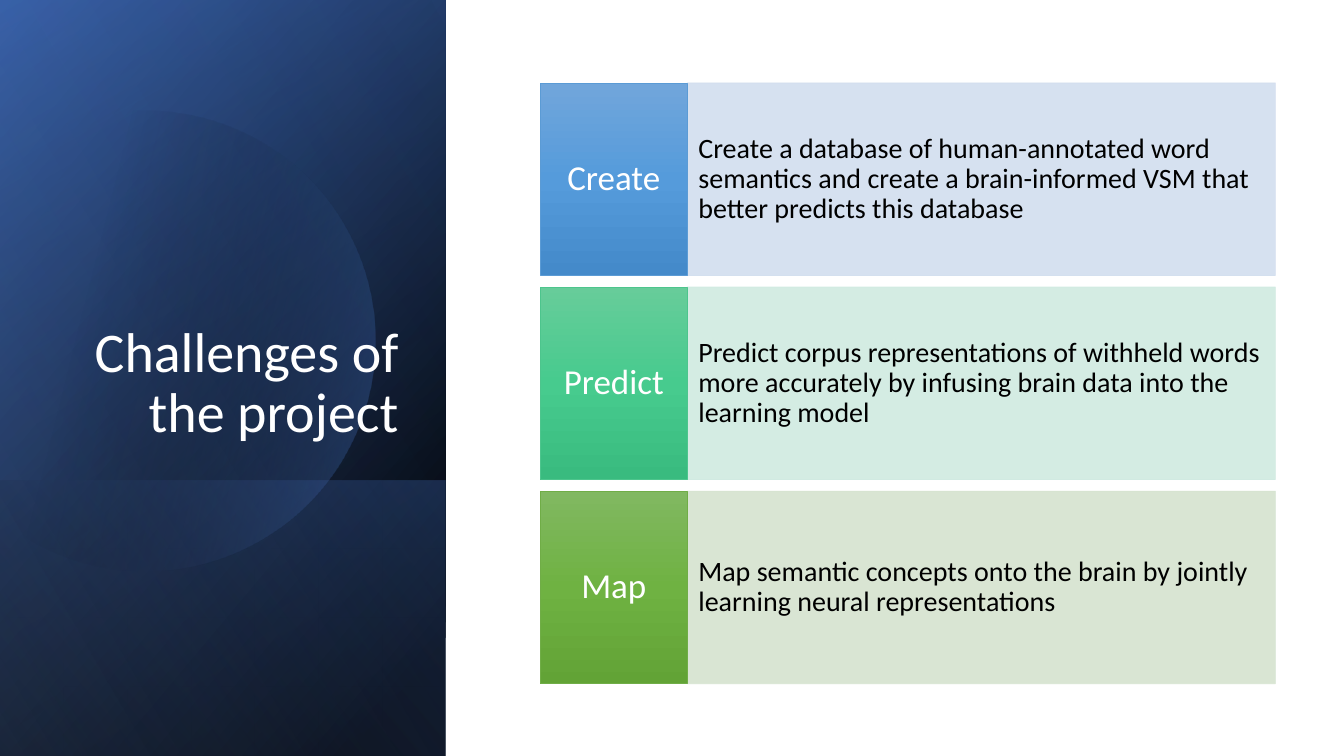
from dataclasses import dataclass, field
from math import acos, cos, pi, sin
from typing import Any, NamedTuple

from lxml.etree import SubElement
from pptx import Presentation
from pptx.dml.color import RGBColor
from pptx.enum.shapes import MSO_SHAPE as Preset
from pptx.enum.text import MSO_ANCHOR as Anchor, MSO_AUTO_SIZE as AutoSize, PP_ALIGN as Align
from pptx.oxml import parse_xml
from pptx.oxml.ns import nsdecls, qn
from pptx.util import Emu, Inches, Pt

SLIDE_WIDTH, SLIDE_HEIGHT = Inches(13.33), Inches(7.5)


@dataclass(frozen=True)
class Theme:
    font: str = "Calibri"
    light: str = "FFFFFF"
    dark: str = "000000"
    blue: str = "4472C4"
    deep_blue: str = "2F5597"
    pale_blue: str = "8FAADC"
    title_size: int = 40
    label_size: int = 25
    body_size: int = 20
    outline: float = 0.5
    band_opacity: int = 90


class Stop(NamedTuple):
    position: int
    color: str
    opacity: int = 100


class Gradient(NamedTuple):
    angle: int
    stops: tuple[Stop, ...]


class Box(NamedTuple):
    """Left and width in percent of the slide's width, top and height of its height."""
    left: float
    top: float
    width: float
    height: float

    def emu(self) -> tuple[Emu, Emu, Emu, Emu]:
        return across(self.left), down(self.top), across(self.width), down(self.height)


@dataclass(frozen=True)
class Challenge:
    label: str
    description: str
    shades: tuple[str, str, str]
    edge: str
    band: str


@dataclass(frozen=True)
class TextStyle:
    size: int
    color: str
    align: Align
    frame: dict[str, Any] = field(default_factory=dict)


THEME = Theme()
PANEL_WIDTH = 33.16
TITLE_BOX = Box(4.8, 24.5, 25.6, 35)
CARDS = Box(40.2, 10.97, 54.7, 25.47)
CARD_PITCH = 27
LABEL_SHARE = 0.2

BACKDROP = (
    Gradient(50, (Stop(8, THEME.dark), Stop(100, THEME.deep_blue))),
    Gradient(30, (Stop(0, THEME.dark, 0), Stop(99, THEME.blue, 46))),
)
FOOT_SHADE = Gradient(130, (Stop(2, THEME.blue, 29), Stop(100, THEME.dark, 30)))
DISC_SHADE = Gradient(14, (Stop(29, THEME.dark, 0), Stop(100, THEME.blue, 43)))
TOP_GLAZE = Gradient(120, (Stop(0, THEME.dark, 0), Stop(99, THEME.pale_blue, 11)))

TITLE_STYLE = TextStyle(THEME.title_size, THEME.light, Align.RIGHT,
                        {"vertical_anchor": Anchor.BOTTOM})
LABEL_STYLE = TextStyle(THEME.label_size, THEME.light, Align.CENTER,
                        {"margin_left": Inches(0.08), "margin_right": Inches(0.08)})
BODY_STYLE = TextStyle(THEME.body_size, THEME.dark, Align.LEFT,
                       {"margin_left": Inches(0.11), "margin_right": Inches(0.11)})

CHALLENGES = (
    Challenge("Create",
              "Create a database of human-annotated word semantics and create a "
              "brain-informed VSM that better predicts this database",
              ("71A6DB", "559BDB", "448ACA"), "5B9BD5", "D2DEEF"),
    Challenge("Predict",
              "Predict corpus representations of withheld words more accurately by "
              "infusing brain data into the learning model",
              ("67CC9A", "47CB8E", "39BB7F"), "4DC58D", "D0EAE1"),
    Challenge("Map",
              "Map semantic concepts onto the brain by jointly learning neural representations",
              ("81B861", "6FB242", "62A336"), "70AD47", "D5E3CF"),
)


def across(percent: float) -> Emu:
    return Emu(round(SLIDE_WIDTH * percent / 100))


def down(percent: float) -> Emu:
    return Emu(round(SLIDE_HEIGHT * percent / 100))


def rgb(color: str) -> RGBColor:
    return RGBColor.from_string(color)


def fill_gradient(shape, gradient: Gradient) -> None:
    """Fill with stops that may be translucent; the angle runs clockwise."""
    stops = "".join(
        f'<a:gs pos="{stop.position * 1000}"><a:srgbClr val="{stop.color}">'
        f'<a:alpha val="{stop.opacity * 1000}"/></a:srgbClr></a:gs>'
        for stop in gradient.stops)
    shape.fill.gradient()
    properties = shape._element.spPr
    properties.replace(properties.find(qn("a:gradFill")), parse_xml(
        f'<a:gradFill {nsdecls("a")} rotWithShape="1"><a:gsLst>{stops}</a:gsLst>'
        f'<a:lin ang="{gradient.angle * 60000}" scaled="0"/></a:gradFill>'))


def write_text(shape, text: str, style: TextStyle) -> None:
    frame = shape.text_frame
    frame.text = text
    paragraph = frame.paragraphs[0]
    settings = {
        frame: {"word_wrap": True, "auto_size": AutoSize.NONE,
                "vertical_anchor": Anchor.MIDDLE} | style.frame,
        paragraph: {"alignment": style.align, "line_spacing": 0.9},
        paragraph.runs[0].font: {"name": THEME.font, "size": Pt(style.size)},
    }
    for target, values in settings.items():
        for name, value in values.items():
            setattr(target, name, value)
    paragraph.runs[0].font.color.rgb = rgb(style.color)


def add_panel_layer(slide, gradient: Gradient, height: float = 100) -> None:
    """Add a mirrored quarter-turned layer that rests on the foot of the side panel."""
    length, breadth = down(height), across(PANEL_WIDTH)
    layer = slide.shapes.add_shape(
        Preset.RECTANGLE, (breadth - length) // 2,
        SLIDE_HEIGHT - (length + breadth) // 2, length, breadth)
    layer.rotation = 90
    layer._element.spPr.xfrm.set("flipH", "1")
    layer.shadow.inherit = False
    layer.line.fill.background()
    fill_gradient(layer, gradient)


def add_disc(slide) -> None:
    """Add the disc whose left side is cut off just past the slide's edge."""
    center_x, center_y, radius = across(10.8), down(45.07), across(17.1)
    reach = pi - acos((center_x + across(1.13)) / radius)
    steps = 120
    angles = (reach * (2 * step / steps - 1) for step in range(steps + 1))
    rim = [(round(center_x + radius * cos(angle)), round(center_y + radius * sin(angle)))
           for angle in angles]
    builder = slide.shapes.build_freeform(*rim[0])
    builder.add_line_segments(rim[1:], close=True)
    disc = builder.convert_to_shape()
    disc.shadow.inherit = False
    disc.line.fill.background()
    fill_gradient(disc, DISC_SHADE)


def add_cell(slide, box: Box, edge: str, text: str, style: TextStyle):
    cell = slide.shapes.add_shape(Preset.RECTANGLE, *box.emu())
    cell.shadow.inherit = False
    cell.line.color.rgb = rgb(edge)
    cell.line.width = Pt(THEME.outline)
    write_text(cell, text, style)
    return cell


def add_challenge(slide, row: int, challenge: Challenge) -> None:
    top = CARDS.top + row * CARD_PITCH
    label_width = CARDS.width * LABEL_SHARE
    band = add_cell(slide, Box(CARDS.left + label_width, top,
                               CARDS.width - label_width, CARDS.height),
                    challenge.band, challenge.description, BODY_STYLE)
    band.fill.solid()
    band.fill.fore_color.rgb = rgb(challenge.band)
    for color in band._element.spPr.iter(qn("a:srgbClr")):
        SubElement(color, qn("a:alpha"), val=str(THEME.band_opacity * 1000))
    label = add_cell(slide, Box(CARDS.left, top, label_width, CARDS.height),
                     challenge.edge, challenge.label, LABEL_STYLE)
    fill_gradient(label, Gradient(90, tuple(map(Stop, (0, 50, 100), challenge.shades))))


def main() -> None:
    deck = Presentation()
    deck.slide_width, deck.slide_height = SLIDE_WIDTH, SLIDE_HEIGHT
    slide = deck.slides.add_slide(deck.slide_layouts[5])
    for gradient in BACKDROP:
        add_panel_layer(slide, gradient)
    add_panel_layer(slide, FOOT_SHADE, height=36.5)
    add_disc(slide)
    add_panel_layer(slide, TOP_GLAZE)
    title = slide.shapes.title
    title.left, title.top, title.width, title.height = TITLE_BOX.emu()
    write_text(title, "Challenges of the project", TITLE_STYLE)
    slide.shapes._spTree.append(title._element)
    for row, challenge in enumerate(CHALLENGES):
        add_challenge(slide, row, challenge)
    deck.save("out.pptx")


if __name__ == "__main__":
    main()
